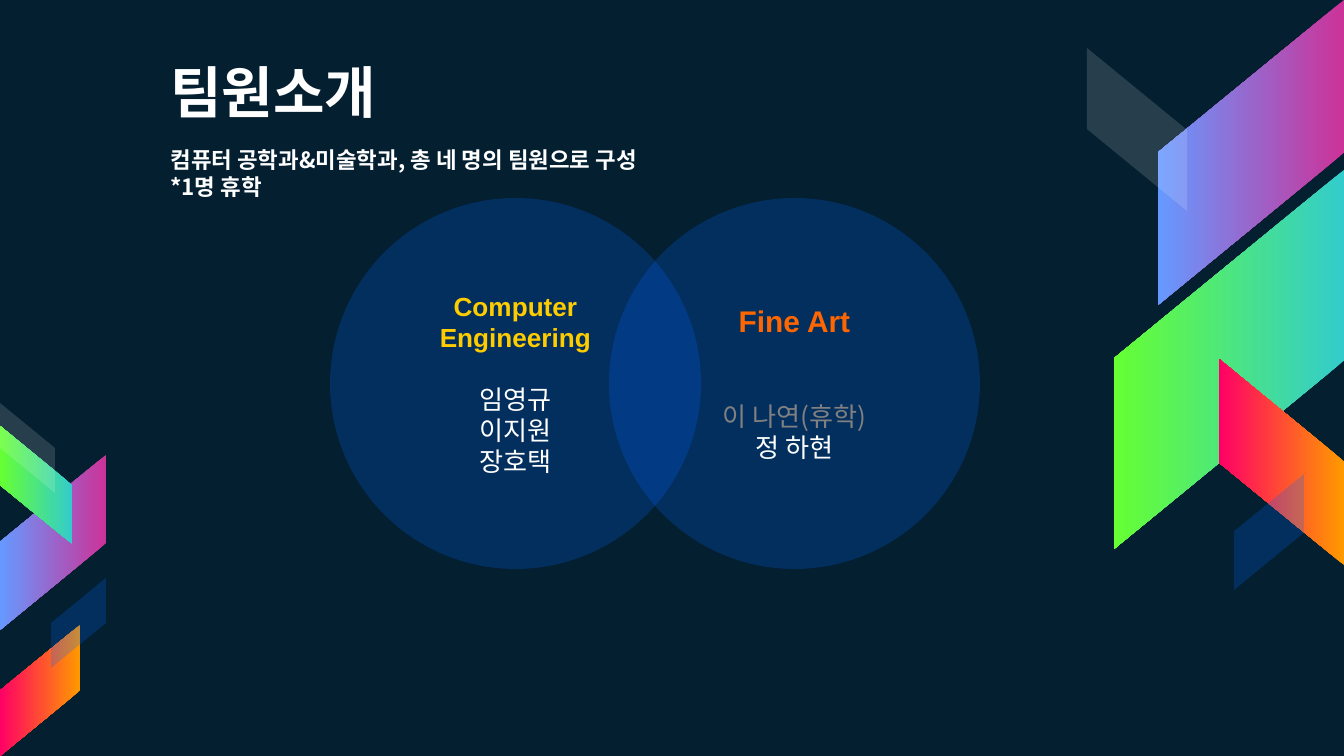
"""Build the team introduction slide with two overlapping department circles."""
from lxml.etree import SubElement
from pptx import Presentation
from pptx.dml.color import RGBColor
from pptx.enum.shapes import MSO_SHAPE as Shape
from pptx.enum.text import MSO_ANCHOR as Anchor, MSO_AUTO_SIZE as AutoSize, PP_ALIGN as Align
from pptx.oxml.ns import qn
from pptx.util import Emu, Pt

KOREAN = "Noto Sans CJK KR"
LATIN = "Arial"
WHITE = "FFFFFF"
NAVY = "041F30"
BLUE = "0066FF"
PURPLE_BAND = ("6699FF", "CC3399")
GREEN_BAND = ("66FF33", "33CCCC")
ORANGE_BAND = ("FF0066", "FF9900")

RIBBONS = [
    (1158, 0, 186, 305, True, PURPLE_BAND),
    (1114, 170, 230, 379, True, GREEN_BAND),
    (1219, 359, 125, 206, False, ORANGE_BAND),
    (1087, 48, 100, 163, False, (WHITE, 14)),
    (1234, 474, 70, 116, True, (BLUE, 23)),
    (0, 455, 106, 175, True, PURPLE_BAND),
    (0, 426, 72, 118, False, GREEN_BAND),
    (0, 625, 80, 131, True, ORANGE_BAND),
    (0, 403, 55, 90, False, (WHITE, 14)),
    (51, 578, 55, 90, True, (BLUE, 23)),
]


def px(length):
    """Turn px into EMU."""
    return Emu(round(length * 914400 / 134.4))


def colour(code):
    """Turn a hex string into a colour."""
    return RGBColor.from_string(code)


def fill_clear(shape, code, opacity):
    """Fill a shape with one colour at an opacity in percent."""
    shape.fill.solid()
    shape.fill.fore_color.rgb = colour(code)
    tint = shape.fill._xPr.find(".//" + qn("a:srgbClr"))
    SubElement(tint, qn("a:alpha")).set("val", str(opacity * 1000))


def fill_band(shape, left_code, right_code):
    """Fill a quarter-turned shape with a gradient that runs left to right."""
    shape.fill.gradient()
    shape.fill.gradient_angle = 270
    for stop, code in zip(shape.fill.gradient_stops, (right_code, left_code)):
        stop.color.rgb = colour(code)


def add_plain(slide, preset, left, top, width, height):
    """Add a preset shape without line or shadow."""
    shape = slide.shapes.add_shape(preset, px(left), px(top), px(width), px(height))
    shape.shadow.inherit = False
    shape.line.fill.background()
    return shape


def add_ribbon(slide, left, top, width, height, rising, paint):
    """Add an upright slanted ribbon that fills the given box."""
    shift = (width - height) / 2
    ribbon = add_plain(slide, Shape.PARALLELOGRAM, left + shift, top - shift, height, width)
    ribbon.adjustments[0] = 0.819
    ribbon.rotation = 90
    if rising:
        ribbon._element.spPr.find(qn("a:xfrm")).set("flipH", "1")
    if isinstance(paint[1], int):
        fill_clear(ribbon, *paint)
    else:
        fill_band(ribbon, *paint)


def write(paragraph, text, size=14, font=KOREAN, code=WHITE, bold=False,
          align=Align.LEFT, pitch=None, before=0):
    """Write one formatted run into a paragraph."""
    paragraph.alignment = align
    paragraph.space_before = Pt(before)
    if pitch:
        paragraph.line_spacing = Pt(pitch)
    run = paragraph.add_run()
    run.text = text
    run.font.size = Pt(size)
    run.font.bold = bold
    run.font.color.rgb = colour(code)
    run.font.name = font
    SubElement(run.font._element, qn("a:ea")).set("typeface", font)


def write_lines(shape, lines, anchor, **common):
    """Write a list of text and format pairs into a shape."""
    frame = shape.text_frame
    frame.word_wrap = True
    frame.auto_size = AutoSize.NONE
    frame.vertical_anchor = anchor
    frame.margin_left = frame.margin_right = Pt(7.2)
    frame.margin_top = frame.margin_bottom = Pt(7.2)
    for index, (text, style) in enumerate(lines):
        paragraph = frame.add_paragraph() if index else frame.paragraphs[0]
        write(paragraph, text, **{**common, **style})


def place(shape, left, top, width, height):
    """Move a placeholder to a box."""
    shape.left, shape.top = px(left), px(top)
    shape.width, shape.height = px(width), px(height)


def add_heading(slide, title_text, summary):
    """Fill the title and body placeholders."""
    title, body = slide.placeholders
    place(title, 157, 44, 878, 94)
    write_lines(title, [(title_text, {})], Anchor.BOTTOM, size=30, bold=True)
    place(body, 157, 132, 937, 121)
    write_lines(body, [(line, {}) for line in summary], Anchor.TOP,
                size=12, bold=True, pitch=14.5)
    for paragraph in body.text_frame.paragraphs:
        properties = paragraph._p.get_or_add_pPr()
        properties.set("marL", "0")
        properties.set("indent", "0")
        SubElement(properties, qn("a:buNone"))


def add_department(slide, left, name, name_style, members):
    """Add a see-through circle with a department and its members."""
    circle = add_plain(slide, Shape.OVAL, left, 198, 371, 371)
    fill_clear(circle, BLUE, 23)
    heading = (name, {"font": LATIN, "bold": True, **name_style})
    write_lines(circle, [heading, *members], Anchor.MIDDLE, align=Align.CENTER, pitch=16.6)


def main():
    """Build and save the slide."""
    deck = Presentation()
    deck.slide_width, deck.slide_height = px(1344), px(756)
    slide = deck.slides.add_slide(deck.slide_layouts[1])
    slide.background.fill.solid()
    slide.background.fill.fore_color.rgb = colour(NAVY)
    for ribbon in RIBBONS:
        add_ribbon(slide, *ribbon)
    add_heading(slide, "팀원소개",
                ["컴퓨터 공학과&미술학과, 총 네 명의 팀원으로 구성", "*1명 휴학"])
    add_department(slide, 330, "Computer Engineering", {"code": "FFCC00"},
                   [("임영규", {"before": 16.6}), ("이지원", {}), ("장호택", {})])
    add_department(slide, 609, "Fine Art", {"code": "FF6600", "size": 16, "pitch": 18.5},
                   [("이 나연(휴학)", {"code": "808080", "before": 33.2}), ("정 하현", {})])
    deck.save("out.pptx")


if __name__ == "__main__":
    main()
